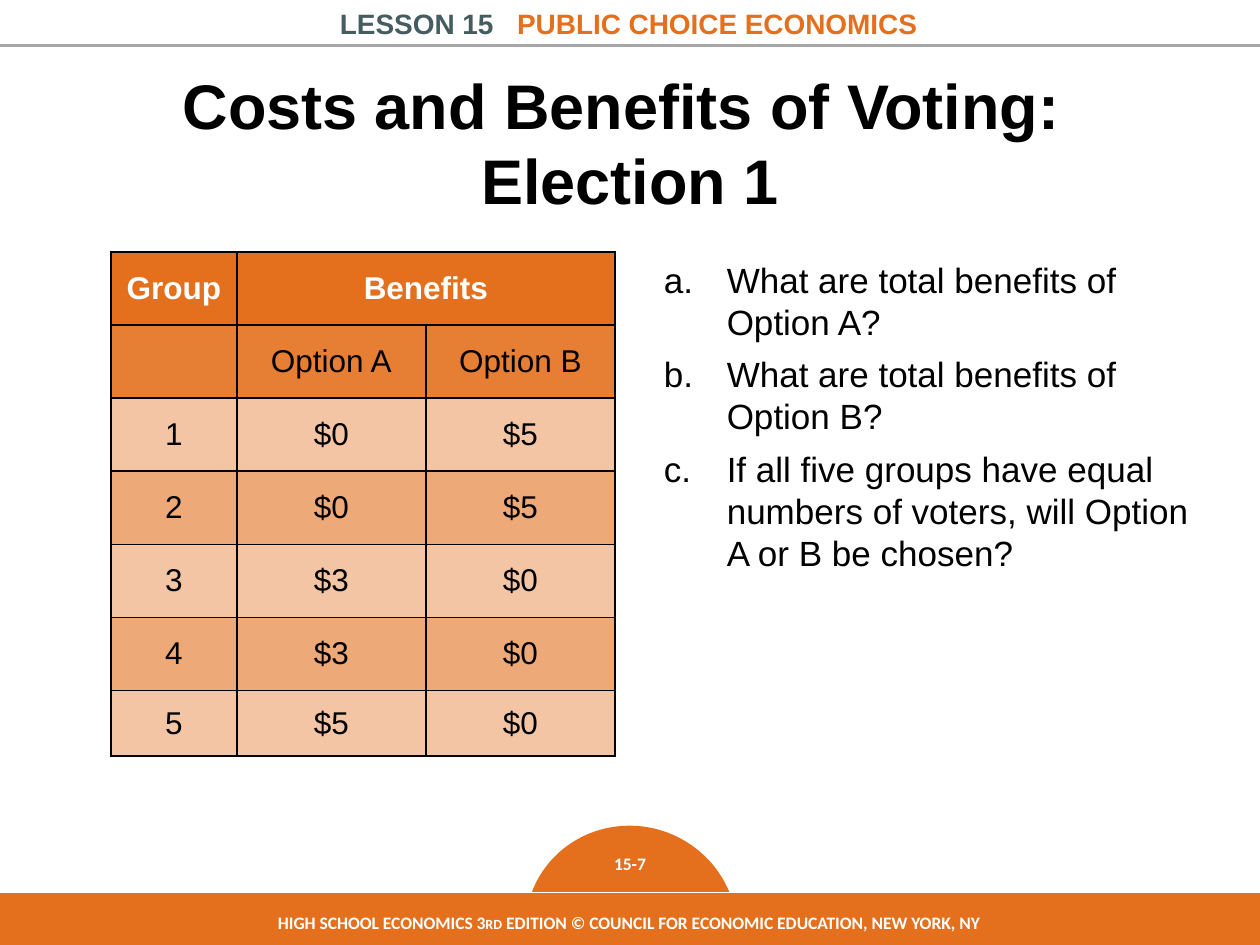
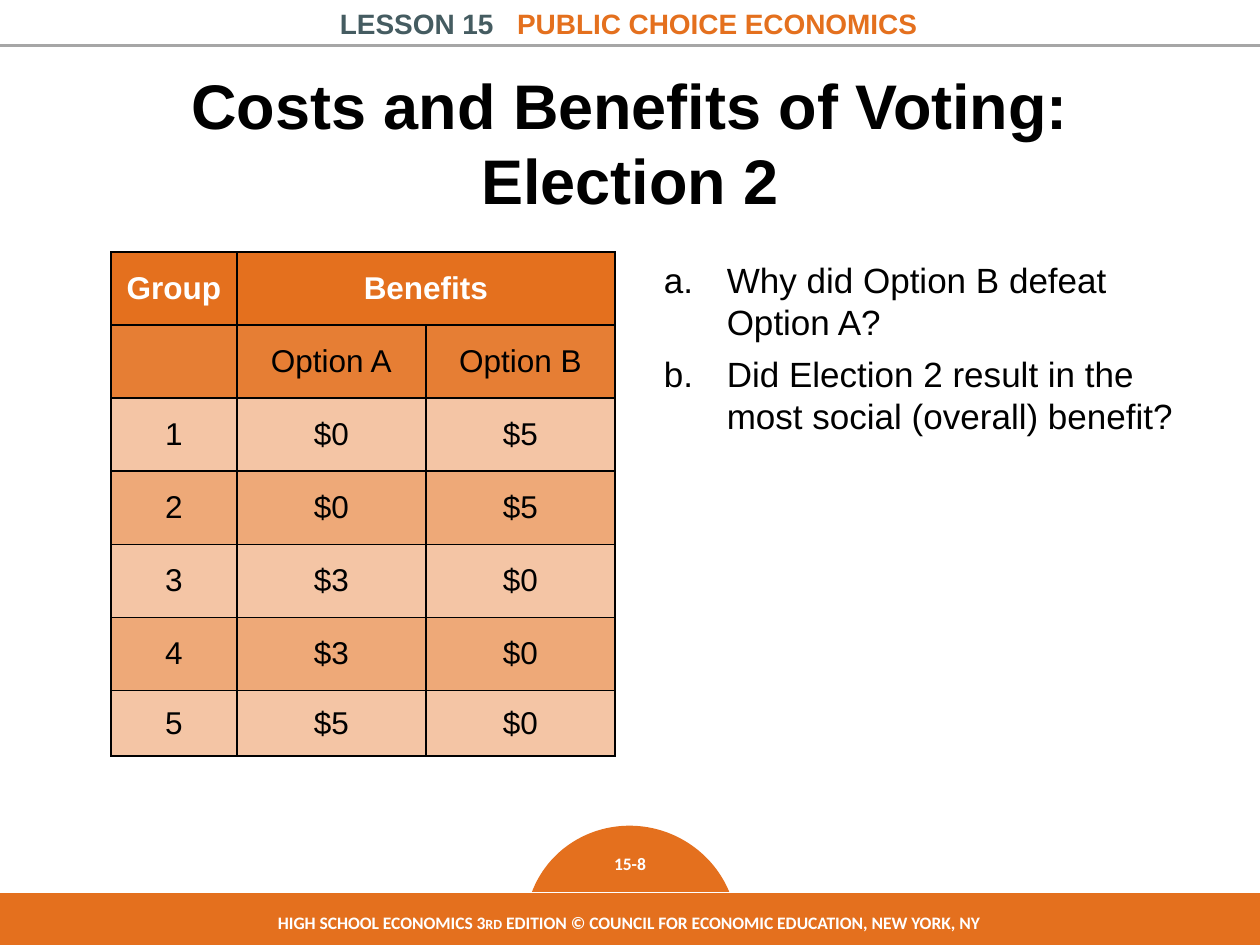
from dataclasses import dataclass

from lxml import etree
from pptx import Presentation
from pptx import util as u
from pptx.dml.color import RGBColor
from pptx.enum import shapes, text
from pptx.oxml import ns


@dataclass(frozen=True)
class Theme:
    orange: str = "E4701E"
    slate: str = "455C61"
    rule: str = "A6A6A6"
    black: str = "000000"
    white: str = "FFFFFF"
    body_font: str = "Arial"
    footer_font: str = "Calibri"
    title_size: int = 36
    question_size: int = 20
    table_size: int = 18
    lesson_size: int = 16
    footer_size: int = 10
    ordinal_size: int = 8


THEME = Theme()

BENEFITS = [
    ("Group", "Benefits", ""),
    ("", "Option A", "Option B"),
    ("1", "$0", "$5"),
    ("2", "$0", "$5"),
    ("3", "$3", "$0"),
    ("4", "$3", "$0"),
    ("5", "$5", "$0"),
]

ELECTIONS = [
    ("15-7", "Costs and Benefits of Voting: \vElection 1", [
        "What are total benefits of Option A?",
        "What are total benefits of Option B?",
        "If all five groups have equal numbers of voters, will Option A or B be chosen?",
    ]),
    ("15-8", "Costs and Benefits of Voting:\vElection 2", [
        "Why did Option B defeat \vOption A?",
        "Did Election 2 result in the most social (overall) benefit?",
    ]),
]


def inches(box):
    return [u.Inches(length) for length in box]


def add_xml(parent, tag, **attributes):
    return etree.SubElement(parent, ns.qn(tag), attributes)


def style(font, size, color, name=THEME.body_font, bold=False):
    font.name, font.size, font.bold = name, u.Pt(size), bold
    font.color.rgb = RGBColor.from_string(color)


def add_text_box(slide, box, align=text.PP_ALIGN.CENTER):
    frame = slide.shapes.add_textbox(*inches(box)).text_frame
    frame.word_wrap = True
    frame.paragraphs[0].alignment = align
    return frame


def add_filled_shape(slide, kind, box, line_color, line_width):
    shape = slide.shapes.add_shape(kind, *inches(box))
    shape.shadow.inherit = False
    shape.fill.solid()
    shape.fill.fore_color.rgb = RGBColor.from_string(THEME.orange)
    shape.line.color.rgb = RGBColor.from_string(line_color)
    shape.line.width = u.Pt(line_width)
    return shape


def add_header(slide, width, height):
    # Rule under the lesson name
    rule = slide.shapes.add_connector(
        shapes.MSO_CONNECTOR.STRAIGHT, *inches((0, height, width, height)))
    rule.line.color.rgb = RGBColor.from_string(THEME.rule)
    rule.line.width = u.Pt(2)
    add_xml(rule._element.spPr, "a:effectLst")

    # Lesson name, with a widened space between number and subject
    lesson = add_text_box(slide, (0.95, 0, 8.08, height)).paragraphs[0]
    for words, color in (("LESSON 15", THEME.slate), (" ", THEME.slate),
                         ("PUBLIC CHOICE ECONOMICS", THEME.orange)):
        run = lesson.add_run()
        run.text = words
        style(run.font, THEME.lesson_size, color, bold=True)
        if words == " ":
            run._r.get_or_add_rPr().set("spc", "900")


def add_footer(slide, box, page):
    left, top, width, height = box

    # Dome behind the page number
    dome = add_filled_shape(slide, shapes.MSO_SHAPE.CHORD,
                            (left + 4.24, top - 0.53, 1.62, 1.66), THEME.orange, 2)
    dome.rotation = 112.5
    dome.adjustments[0], dome.adjustments[1] = 39.96, 148.42
    number = add_text_box(slide, (left + 4.54, top - 0.36, 1, 0.27)).paragraphs[0]
    number.text = page
    style(number.font, THEME.footer_size, THEME.white, THEME.footer_font, bold=True)

    # Band with the copyright line
    add_filled_shape(slide, shapes.MSO_SHAPE.RECTANGLE, box, THEME.white, 0.25)
    credit = add_text_box(slide, (left + 1.32, top + 0.11, 7.42, 0.27)).paragraphs[0]
    for words, size in (
            ("HIGH SCHOOL ECONOMICS 3", THEME.footer_size),
            ("RD", THEME.ordinal_size),
            (" EDITION © COUNCIL FOR ECONOMIC EDUCATION, NEW YORK, NY", THEME.footer_size)):
        run = credit.add_run()
        run.text = words
        style(run.font, size, THEME.white, THEME.footer_font, bold=True)


def add_title(slide, box, words):
    frame = add_text_box(slide, box)
    frame.vertical_anchor = text.MSO_ANCHOR.MIDDLE
    title = frame.paragraphs[0]
    title.text = words
    style(title.font, THEME.title_size, THEME.black, bold=True)


def add_questions(slide, box, questions):
    frame = add_text_box(slide, box, text.PP_ALIGN.LEFT)
    for index, words in enumerate(questions):
        question = frame.add_paragraph() if index else frame.paragraphs[0]
        question.text = words
        if index:
            question.space_before = u.Pt(6)
        properties = question._p.get_or_add_pPr()
        properties.set("marL", str(u.Inches(0.5)))
        properties.set("indent", str(-u.Inches(0.5)))
        add_xml(properties, "a:buFont", typeface="+mj-lt")
        add_xml(properties, "a:buAutoNum", type="alphaLcPeriod")
        style(question.font, THEME.question_size, THEME.black)


def row_opacity(row):
    """Headings are strong; the group rows alternate."""
    return (100, 90)[row] if row < 2 else (40, 60)[row % 2]


def format_cell(cell, words, row):
    # Borders come before the fill in the cell properties
    properties = cell._tc.get_or_add_tcPr()
    for side in ("a:lnL", "a:lnR", "a:lnT", "a:lnB"):
        border = add_xml(properties, side, w=str(u.Pt(1)))
        add_xml(add_xml(border, "a:solidFill"), "a:srgbClr", val=THEME.black)
    cell.fill.solid()
    cell.fill.fore_color.rgb = RGBColor.from_string(THEME.orange)
    tint = properties.find(".//" + ns.qn("a:solidFill") + "[last()]")
    tint = properties.find(ns.qn("a:solidFill")).find(ns.qn("a:srgbClr"))
    if row_opacity(row) < 100:
        add_xml(tint, "a:alpha", val=str(row_opacity(row) * 1000))

    cell.vertical_anchor = text.MSO_ANCHOR.MIDDLE
    entry = cell.text_frame.paragraphs[0]
    entry.text = words
    entry.alignment = text.PP_ALIGN.CENTER
    heading = row == 0
    style(entry.font, THEME.table_size,
          THEME.white if heading else THEME.black, bold=heading)


def add_benefits_table(slide, box):
    height = box[3]
    table = slide.shapes.add_table(len(BENEFITS), 3, *inches(box)).table
    table.horz_banding = False
    for column, width in zip(table.columns, (1, 1.5, 1.5)):
        column.width = u.Inches(width)

    # Equal rows, with the last one taking what is left
    row_height = 0.58
    for row in table.rows:
        row.height = u.Inches(row_height)
    table.rows[len(BENEFITS) - 1].height = u.Inches(
        height - row_height * (len(BENEFITS) - 1))

    for row, entries in enumerate(BENEFITS):
        for column, words in enumerate(entries):
            format_cell(table.cell(row, column), words, row)
    table.cell(0, 1).merge(table.cell(0, 2))


def add_election_slide(deck, page, title, questions):
    slide = deck.slides.add_slide(deck.slide_layouts[6])
    add_header(slide, 10, 0.36)
    add_footer(slide, (-0.04, 7.08, 10.06, 0.42), page)
    add_title(slide, (0.5, 0.5, 9, 1.25), title)
    add_questions(slide, (5.17, 2, 4.5, 2.63), questions)
    add_benefits_table(slide, (0.88, 2, 4, 4))


def main():
    deck = Presentation()
    deck.slide_width, deck.slide_height = u.Inches(10), u.Inches(7.5)
    for election in ELECTIONS:
        add_election_slide(deck, *election)
    deck.save("out.pptx")


if __name__ == "__main__":
    main()
